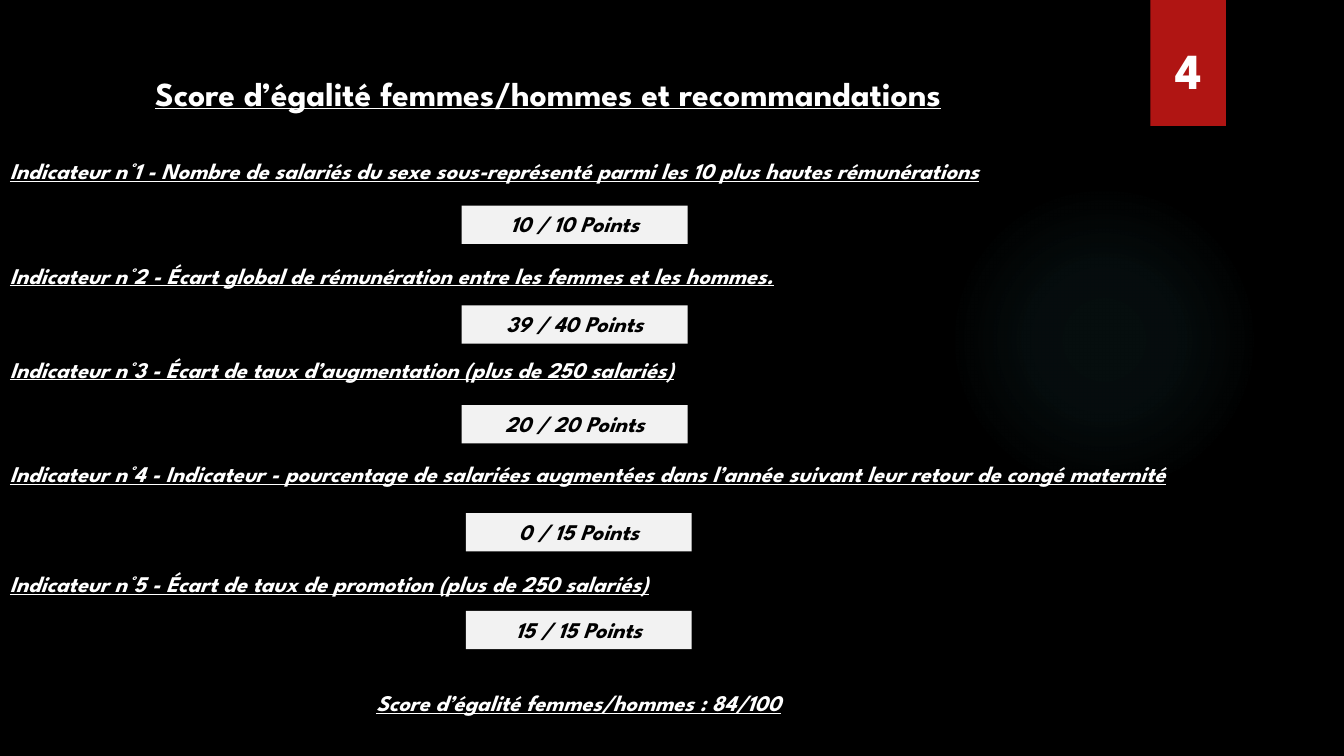
from dataclasses import dataclass

from lxml.etree import SubElement
from pptx import Presentation
from pptx.dml.color import RGBColor
from pptx.enum.shapes import MSO_SHAPE
from pptx.enum.text import MSO_ANCHOR, PP_ALIGN
from pptx.oxml.ns import qn
from pptx.shapes.autoshape import Shape
from pptx.slide import Slide
from pptx.util import Inches, Pt


@dataclass(frozen=True)
class Theme:
    font: str = "League Spartan"
    black: str = "000000"
    white: str = "FFFFFF"
    score_fill: str = "F2F2F2"
    ribbon: str = "B01513"
    glow: str = "50B9C1"
    body_size: int = 16
    heading_size: int = 24
    number_size: int = 36


@dataclass(frozen=True)
class Box:
    left: float
    top: float
    width: float
    height: float

    def emu(self) -> tuple[int, int, int, int]:
        return (Inches(self.left), Inches(self.top),
                Inches(self.width), Inches(self.height))


@dataclass(frozen=True)
class Style:
    size: int
    color: str
    italic: bool = False
    underline: bool = False
    align: PP_ALIGN = PP_ALIGN.LEFT
    anchor: MSO_ANCHOR = MSO_ANCHOR.TOP
    line_spacing: float = 1.0


@dataclass(frozen=True)
class Indicator:
    label: str
    label_top: float
    score: str
    score_left: float
    score_top: float


THEME = Theme()
HEADING = Style(THEME.heading_size, THEME.white, underline=True, line_spacing=2.0)
NUMBER = Style(THEME.number_size, THEME.white,
               align=PP_ALIGN.CENTER, anchor=MSO_ANCHOR.MIDDLE)
LABEL = Style(THEME.body_size, THEME.white, italic=True, underline=True)
SCORE = Style(THEME.body_size, THEME.black, italic=True, align=PP_ALIGN.CENTER)
TOTAL = Style(THEME.body_size, THEME.white, italic=True, underline=True,
              align=PP_ALIGN.CENTER)

INDICATORS = [
    Indicator("Indicateur n°1 - Nombre de salariés du sexe sous-représenté "
              "parmi les 10 plus hautes rémunérations",
              1.51, "10 / 10 Points", 4.58, 2.04),
    Indicator("Indicateur n°2 - Écart global de rémunération entre les femmes "
              "et les hommes.",
              2.55, "39 / 40 Points", 4.58, 3.03),
    Indicator("Indicateur n°3 - Écart de taux d’augmentation (plus de 250 salariés)",
              3.48, "20 / 20 Points", 4.58, 4.02),
    Indicator("Indicateur n°4 - Indicateur - pourcentage de salariées augmentées "
              "dans l’année suivant leur retour de congé maternité",
              4.52, "0 / 15 Points", 4.62, 5.09),
    Indicator("Indicateur n°5 - Écart de taux de promotion (plus de 250 salariés)",
              5.61, "15 / 15 Points", 4.62, 6.06),
]


def write(shape: Shape, text: str, style: Style) -> None:
    frame = shape.text_frame
    frame.word_wrap = True
    frame.vertical_anchor = style.anchor
    paragraph = frame.paragraphs[0]
    paragraph.alignment = style.align
    paragraph.line_spacing = style.line_spacing
    run = paragraph.add_run()
    run.text = text
    run.font.name = THEME.font
    run.font.size = Pt(style.size)
    run.font.bold = True
    run.font.italic = style.italic
    run.font.underline = style.underline
    run.font.color.rgb = RGBColor.from_string(style.color)


def add_text(slide: Slide, box: Box, text: str, style: Style) -> None:
    write(slide.shapes.add_textbox(*box.emu()), text, style)


def add_panel(slide: Slide, box: Box, fill: str) -> Shape:
    panel = slide.shapes.add_shape(MSO_SHAPE.RECTANGLE, *box.emu())
    panel.shadow.inherit = False
    panel.fill.solid()
    panel.fill.fore_color.rgb = RGBColor.from_string(fill)
    panel.line.fill.background()
    return panel


def add_glow(slide: Slide, box: Box) -> None:
    glow = slide.shapes.add_shape(MSO_SHAPE.OVAL, *box.emu())
    glow.shadow.inherit = False
    glow.line.fill.background()
    glow.fill.gradient()
    gradient = glow.fill._xPr.find(qn("a:gradFill"))
    for child in list(gradient):
        gradient.remove(child)
    stops = SubElement(gradient, qn("a:gsLst"))
    for position, opacity in ((0, 7), (36, 6), (69, 0)):
        stop = SubElement(stops, qn("a:gs"), pos=str(position * 1000))
        color = SubElement(stop, qn("a:srgbClr"), val=THEME.glow)
        SubElement(color, qn("a:alpha"), val=str(opacity * 1000))
    circle = SubElement(gradient, qn("a:path"), attrib={"path": "circle"})
    SubElement(circle, qn("a:fillToRect"),
               attrib=dict.fromkeys("ltrb", "50000"))


def main() -> None:
    deck = Presentation()
    deck.slide_width = Inches(13.33)
    deck.slide_height = Inches(7.5)
    slide = deck.slides.add_slide(deck.slide_layouts[6])
    slide.background.fill.solid()
    slide.background.fill.fore_color.rgb = RGBColor.from_string(THEME.black)

    add_glow(slide, Box(9.41, 1.83, 3.08, 3.08))
    add_panel(slide, Box(11.41, 0, 0.75, 1.25), THEME.ribbon)
    add_text(slide, Box(10.37, 0.33, 2.84, 0.72), "4", NUMBER)
    add_text(slide, Box(1.44, 0.27, 9.58, 0.78),
             "Score d’égalité femmes/hommes et recommandations", HEADING)

    for indicator in INDICATORS:
        add_text(slide, Box(0, indicator.label_top, 13.33, 0.63),
                 indicator.label, LABEL)
        score = add_panel(
            slide, Box(indicator.score_left, indicator.score_top, 2.24, 0.38),
            THEME.score_fill)
        write(score, indicator.score, SCORE)

    total = add_panel(slide, Box(3.34, 6.79, 4.8, 0.45), THEME.black)
    write(total, "Score d’égalité femmes/hommes : 84/100", TOTAL)

    deck.save("out.pptx")


if __name__ == "__main__":
    main()
